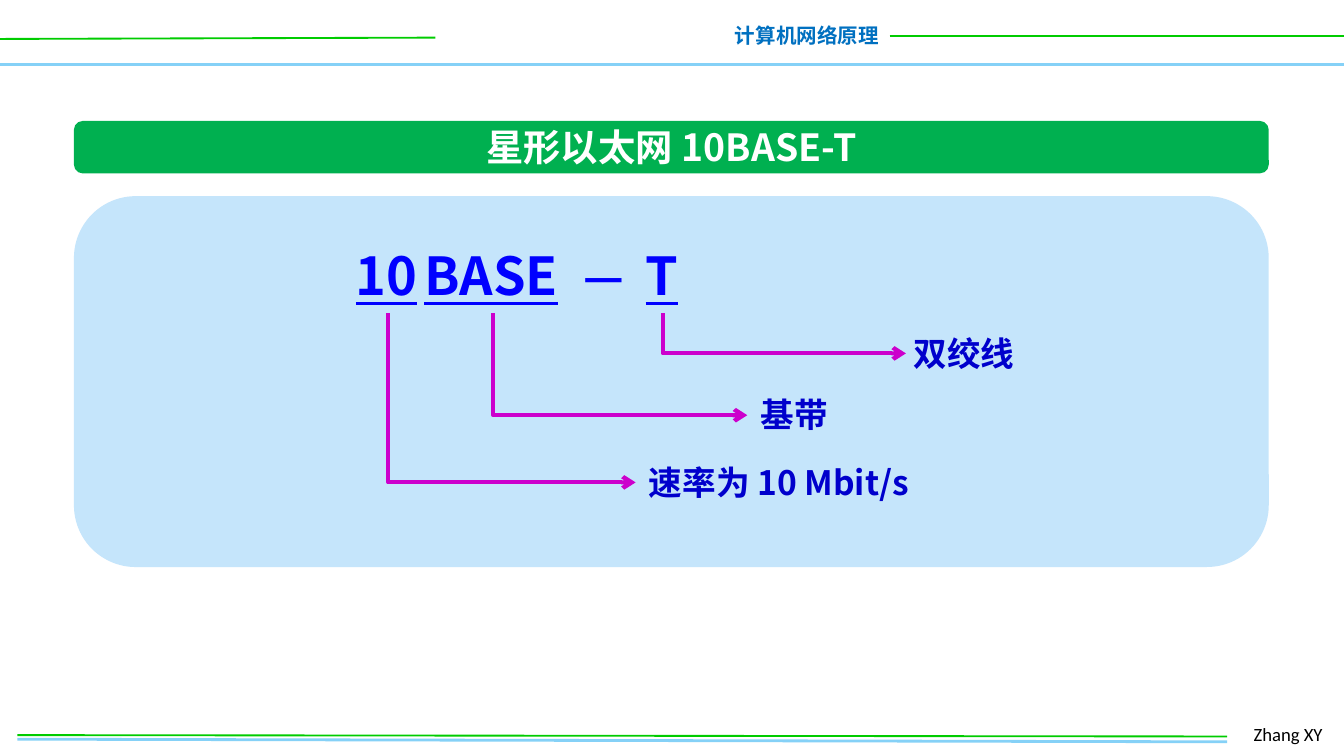
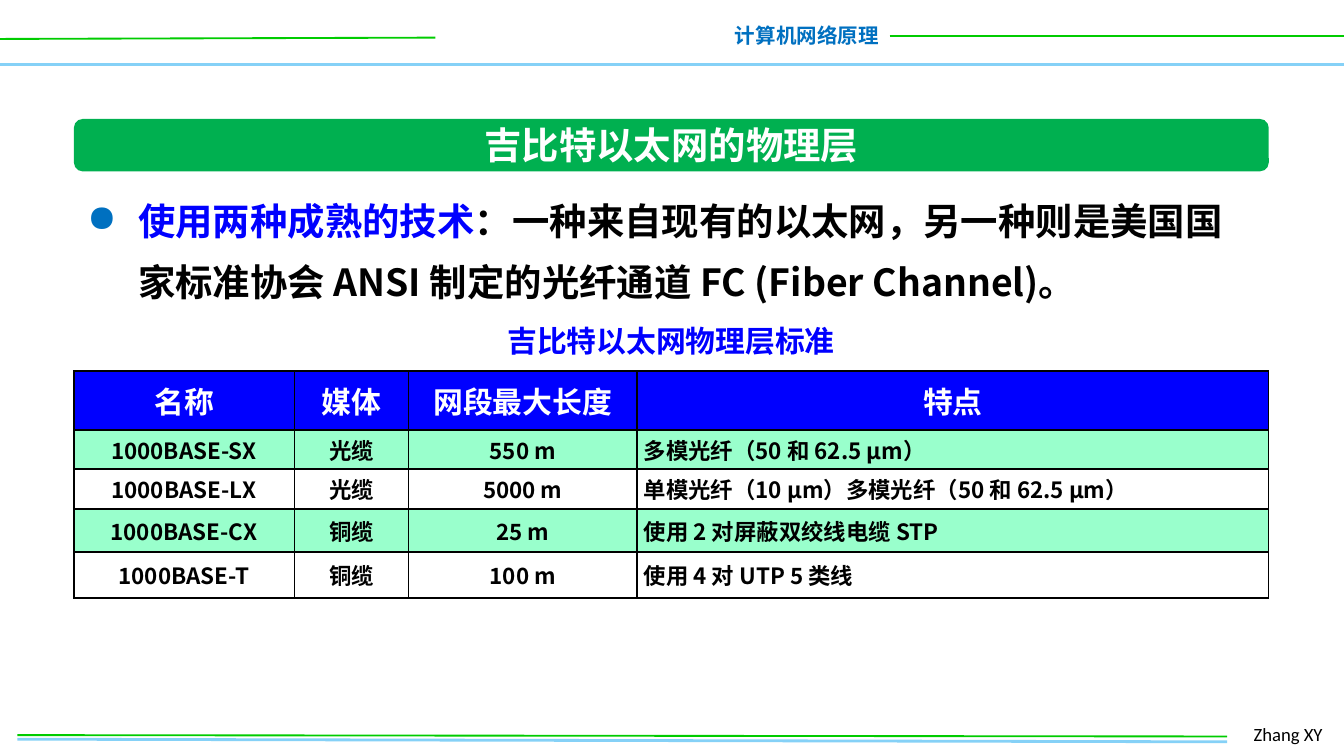
from lxml.etree import SubElement as Sub
from pptx import Presentation
from pptx.dml.color import RGBColor as Rgb
from pptx.enum.shapes import MSO_CONNECTOR as Wire, MSO_SHAPE as Form
from pptx.enum.text import MSO_ANCHOR as Anchor, MSO_AUTO_SIZE as Auto, PP_ALIGN as Align
from pptx.oxml.ns import qn
from pptx.util import Inches, Pt

WIDE = Inches(10)
CELL = WIDE // 100  # the grid has 100 square columns
SANS = "Noto Sans CJK SC"
HUES = {
    "sky": "85D1F7", "lime": "00CC00", "navy": "0070C0", "ink": "000000",
    "panel": "C5E5FB", "green": "00B050", "white": "FFFFFF", "blue": "0000FF",
    "label": "0000CC", "arrow": "CC00CC", "mint": "99FFCC",
}
LEFT, SPAN = 5.5, 88.9


def hue(name):
    return Rgb.from_string(HUES[name])


def put(item, **form):
    for key, val in form.items():
        setattr(item, key, val)


def grid(*nums):
    return [round(num * CELL) for num in nums]


class Deck:
    def __init__(self):
        self.prs = Presentation()
        put(self.prs, slide_width=WIDE, slide_height=WIDE * 9 // 16)
        self.page = None

    def start(self):
        """Add a slide with its header and footer."""
        self.page = self.prs.slides.add_slide(self.prs.slide_layouts[6]).shapes
        self.line(0, 4.8, 100, 4.8, "sky", 2)
        self.line(0, 2.9, 32.4, 2.8, "lime", 1)
        self.text(53.6, 1.2, 12.8, 2.9, "计算机网络原理", 11, "navy", Align.RIGHT)
        self.line(66.2, 2.7, 100, 2.7, "lime", 1)
        self.line(1.3, 55, 91.3, 55.2, "sky", 1.5)
        self.text(92.3, 53.3, 7.4, 2.7, "Zhang XY", 10, "ink", wrap=True,
                  bold=False, name="Calibri")
        self.line(1.3, 54.7, 91.3, 54.8, "lime", 1)

    def stroke(self, wire, tint, size):
        wire.line.color.rgb = hue(tint)
        wire.line.width = Pt(size)
        Sub(wire.element.spPr, qn("a:effectLst"))

    def line(self, x1, y1, x2, y2, tint, size):
        wire = self.page.add_connector(Wire.STRAIGHT, *grid(x1, y1, x2, y2))
        self.stroke(wire, tint, size)

    def bend(self, x1, y1, x2, y2):
        """Draw an arrow that goes down, then right."""
        midx, midy = (x1 + x2) / 2, (y1 + y2) / 2
        halfw, halfh = (y2 - y1) / 2, (x2 - x1) / 2
        wire = self.page.add_connector(Wire.ELBOW, *grid(
            midx - halfw, midy - halfh, midx + halfw, midy + halfh))
        prop = wire.element.spPr
        prop.find(qn("a:prstGeom")).set("prst", "bentConnector2")
        frame = prop.find(qn("a:xfrm"))
        frame.set("rot", str(270 * 60000))
        frame.set("flipH", "1")
        self.stroke(wire, "arrow", 2.25)
        Sub(prop.find(qn("a:ln")), qn("a:tailEnd"), type="arrow")

    def block(self, top, high, tint):
        box = self.page.add_shape(Form.ROUNDED_RECTANGLE, *grid(LEFT, top, SPAN, high))
        box.shadow.inherit = False
        box.fill.solid()
        box.fill.fore_color.rgb = hue(tint)
        box.line.fill.background()

    def run(self, para, words, size, tint, **form):
        run = para.add_run()
        run.text = words
        put(run.font, **{"size": Pt(size), "bold": True, "name": SANS, **form})
        run.font.color.rgb = hue(tint)
        Sub(run.font._element, qn("a:ea"), typeface=run.font.name)

    def text(self, x, y, w, h, words, size, tint, side=Align.LEFT, wrap=False, **form):
        para = self.frame(x, y, w, h, wrap).paragraphs[0]
        para.alignment = side
        self.run(para, words, size, tint, **form)

    def frame(self, x, y, w, h, wrap):
        frame = self.page.add_textbox(*grid(x, y, w, h)).text_frame
        put(frame, word_wrap=wrap, auto_size=Auto.SHAPE_TO_FIT_TEXT)
        return frame

    def title(self, words, top):
        self.block(top, 3.9, "green")
        self.text(34.5, top - 0.25, 30.9, 4.4, words, 20, "white", Align.CENTER)

    def bullet(self, x, y, w, h, parts):
        para = self.frame(x, y, w, h, True).paragraphs[0]
        para.line_spacing = Pt(33)
        prop = para._p.get_or_add_pPr()
        dent = Inches(0.38)
        prop.set("marL", str(dent))
        prop.set("indent", str(-dent))
        Sub(Sub(prop, qn("a:buClr")), qn("a:srgbClr"), val=HUES["navy"])
        Sub(prop, qn("a:buChar"), char="●")
        for words, tint in parts:
            self.run(para, words, 20, tint)

    def table(self, top, cols, rows, data):
        table = self.page.add_table(len(rows), len(cols), *grid(
            LEFT, top, SPAN, sum(rows))).table
        put(table, first_row=False, horz_banding=False)
        for col, wide in zip(table.columns, grid(*cols)):
            col.width = wide
        for row, high in zip(table.rows, grid(*rows)):
            row.height = high
        for i, line in enumerate(data):
            fill = "blue" if i == 0 else "mint" if i % 2 else "white"
            size, tint = (12, "ink") if i else (16, "white")
            for j, words in enumerate(line):
                cell = table.cell(i, j)
                put(cell, margin_left=Inches(0.05), margin_right=Inches(0.05),
                    margin_top=0, margin_bottom=0, vertical_anchor=Anchor.MIDDLE)
                self.edge(cell)
                cell.fill.solid()
                cell.fill.fore_color.rgb = hue(fill)
                para = cell.text_frame.paragraphs[0]
                last = i and j == len(cols) - 1
                para.alignment = Align.LEFT if last else Align.CENTER
                self.run(para, words, size, tint)

    def edge(self, cell):
        prop = cell._tc.get_or_add_tcPr()
        for side in "LRTB":
            rule = Sub(prop, qn(f"a:ln{side}"), w=str(Pt(1)))
            Sub(Sub(rule, qn("a:solidFill")), qn("a:srgbClr"), val=HUES["ink"])


def star(deck):
    deck.start()
    deck.block(14.6, 27.6, "panel")
    deck.title("星形以太网 10BASE-T", 9)
    for x, wide, words, side in (
        (25.5, 6.9, "10", Align.LEFT),
        (30.6, 12.3, "BASE", Align.LEFT),
        (47, 4.5, "T", Align.CENTER),
    ):
        deck.text(x, 17.6, wide, 5.7, words, 28, "blue", side, underline=True)
    deck.text(42.4, 18, 3.8, 5, "—", 24, "blue", wrap=True)
    for stem, tip, y, x, wide, words in (
        (49.3, 67.4, 26.3, 67, 9.6, "双绞线"),
        (36.7, 55.6, 30.9, 55.6, 7.1, "基带"),
        (28.9, 47.3, 35.9, 47.3, 23.5, "速率为 10 Mbit/s"),
    ):
        deck.bend(stem, 23.3, tip, y)
        deck.text(x, y - 2.05, wide, 4, words, 18, "label")


def giga(deck):
    deck.start()
    deck.bullet(LEFT, 13, SPAN, 10.3, (
        ("使用两种成熟的技术", "blue"),
        ("：一种来自现有的以太网，另一种则是美国国家标准协会 ANSI "
         "制定的光纤通道 FC (Fiber Channel)。", "ink"),
    ))
    deck.title("吉比特以太网的物理层", 8.85)
    deck.table(27.6, (16.4, 8.5, 17, 47), (4.4, 2.9, 3, 3.2, 3.4), (
        ("名称", "媒体", "网段最大长度", "特点"),
        ("1000BASE-SX", "光缆", "550 m", "多模光纤（50 和 62.5 μm）"),
        ("1000BASE-LX", "光缆", "5000 m", "单模光纤（10 μm）多模光纤（50 和 62.5 μm）"),
        ("1000BASE-CX", "铜缆", "25 m", "使用 2 对屏蔽双绞线电缆 STP"),
        ("1000BASE-T", "铜缆", "100 m", "使用 4 对 UTP 5 类线"),
    ))
    deck.text(36.6, 23.5, 26.7, 3.7, "吉比特以太网物理层标准", 16, "blue", Align.CENTER)


def main():
    deck = Deck()
    star(deck)
    giga(deck)
    deck.prs.save("out.pptx")


if __name__ == "__main__":
    main()
